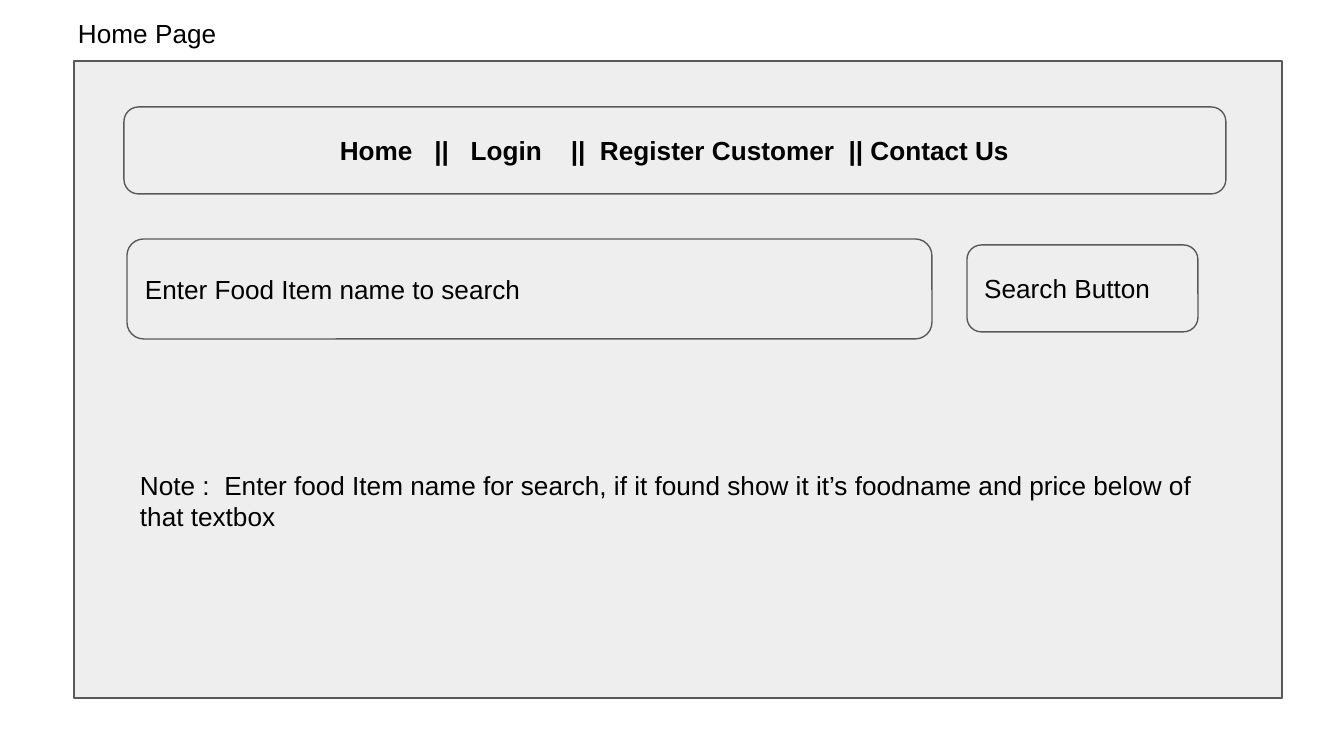
from dataclasses import dataclass

from pptx import Presentation
from pptx.dml.color import RGBColor
from pptx.enum.shapes import MSO_SHAPE
from pptx.enum.text import MSO_ANCHOR, PP_ALIGN
from pptx.util import Emu, Pt

RECT = MSO_SHAPE.RECTANGLE
ROUND = MSO_SHAPE.ROUNDED_RECTANGLE
LEFT, CENTER = PP_ALIGN.LEFT, PP_ALIGN.CENTER
TOP, MIDDLE = MSO_ANCHOR.TOP, MSO_ANCHOR.MIDDLE
SCALE = 914400 / 134.4
PAD = 13
GRAY, EDGE, BLACK = "EEEEEE", "595959", "000000"


@dataclass
class Box:
    left: int
    top: int
    width: int
    height: int
    text: str = ""
    bold: bool = False
    align: PP_ALIGN = LEFT


def px(length: int) -> Emu:
    return Emu(round(length * SCALE))


def place(box: Box) -> list[Emu]:
    return [px(n) for n in (box.left, box.top, box.width, box.height)]


def color(code: str) -> RGBColor:
    return RGBColor.from_string(code)


def write(shape, text: str, *, bold: bool = False, align: PP_ALIGN = LEFT,
          anchor: MSO_ANCHOR = TOP) -> None:
    frame = shape.text_frame
    frame.word_wrap = True
    frame.vertical_anchor = anchor
    frame.margin_left = frame.margin_right = px(PAD)
    frame.margin_top = frame.margin_bottom = px(PAD)
    para = frame.paragraphs[0]
    para.alignment = align
    para.line_spacing = 1.0
    para.space_before = Pt(0)
    run = para.add_run()
    run.text = text
    run.font.name = "Arial"
    run.font.size = Pt(14)
    run.font.bold = bold
    run.font.color.rgb = color(BLACK)


def draw(slide, box: Box, kind: MSO_SHAPE = ROUND) -> None:
    shape = slide.shapes.add_shape(kind, *place(box))
    shape.shadow.inherit = False
    shape.fill.solid()
    shape.fill.fore_color.rgb = color(GRAY)
    shape.line.color.rgb = color(EDGE)
    shape.line.width = Pt(0.75)
    if box.text:
        write(shape, box.text, bold=box.bold, align=box.align, anchor=MIDDLE)


HEAD = Box(65, 4, 195, 59, "Home Page")
PANEL = Box(74, 61, 1208, 637)
FIELDS = [
    Box(124, 107, 1102, 87,
        "Home   ||   Login    ||  Register Customer  || Contact Us", True, CENTER),
    Box(127, 239, 805, 100, "Enter Food Item name to search"),
    Box(967, 245, 231, 87, "Search Button"),
]
NOTE = Box(127, 456, 1117, 90,
           "Note :  Enter food Item name for search, if it found show it "
           "it’s foodname and price below of that textbox")

deck = Presentation()
deck.slide_width, deck.slide_height = px(1344), px(756)
slide = deck.slides.add_slide(deck.slide_layouts[5])

title = slide.shapes.title
title.left, title.top, title.width, title.height = place(HEAD)
write(title, HEAD.text)

draw(slide, PANEL, RECT)
for field in FIELDS:
    draw(slide, field)
write(slide.shapes.add_textbox(*place(NOTE)), NOTE.text)

deck.save("out.pptx")
